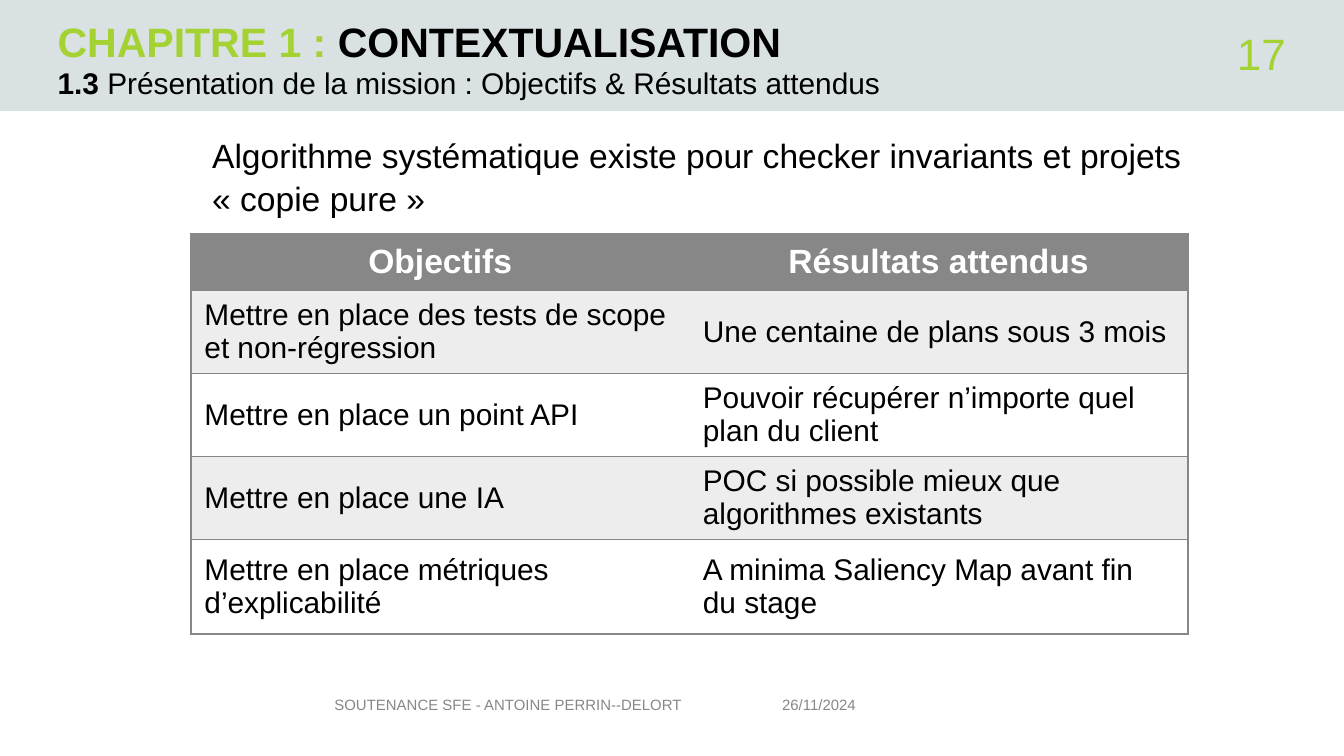
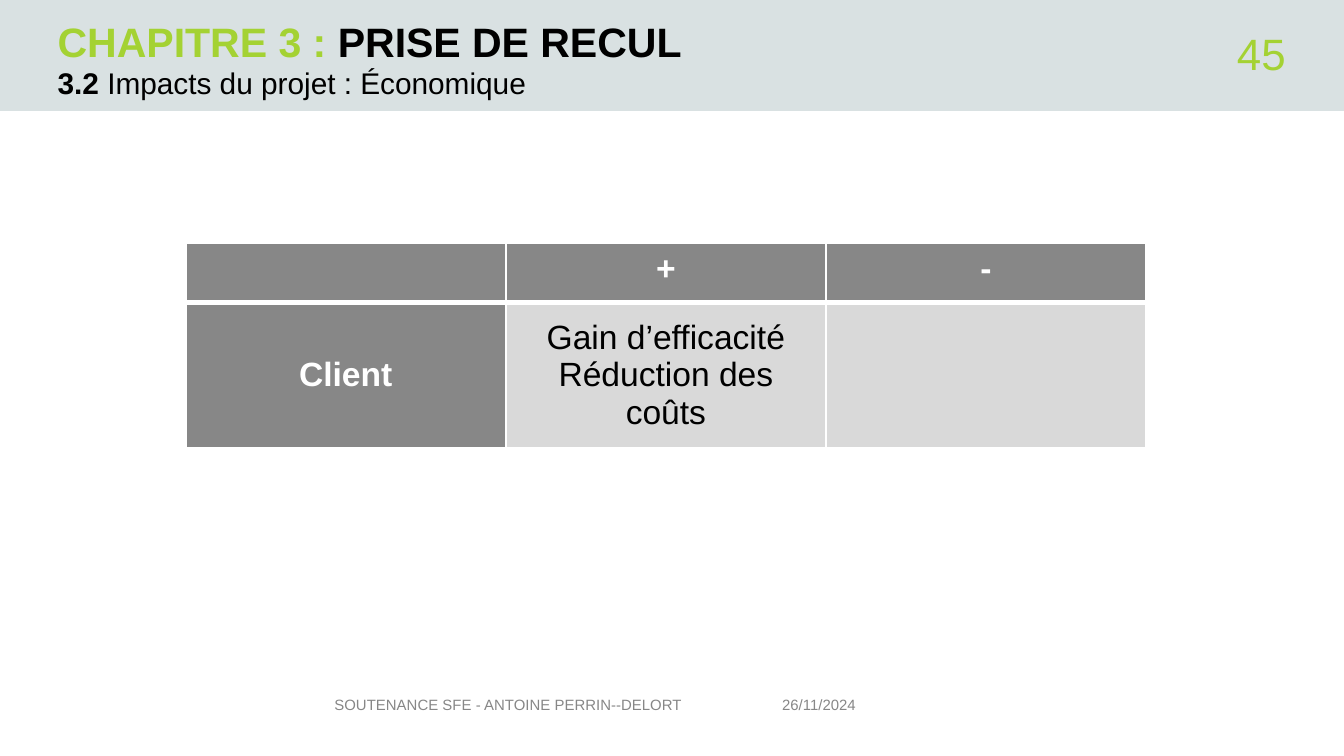
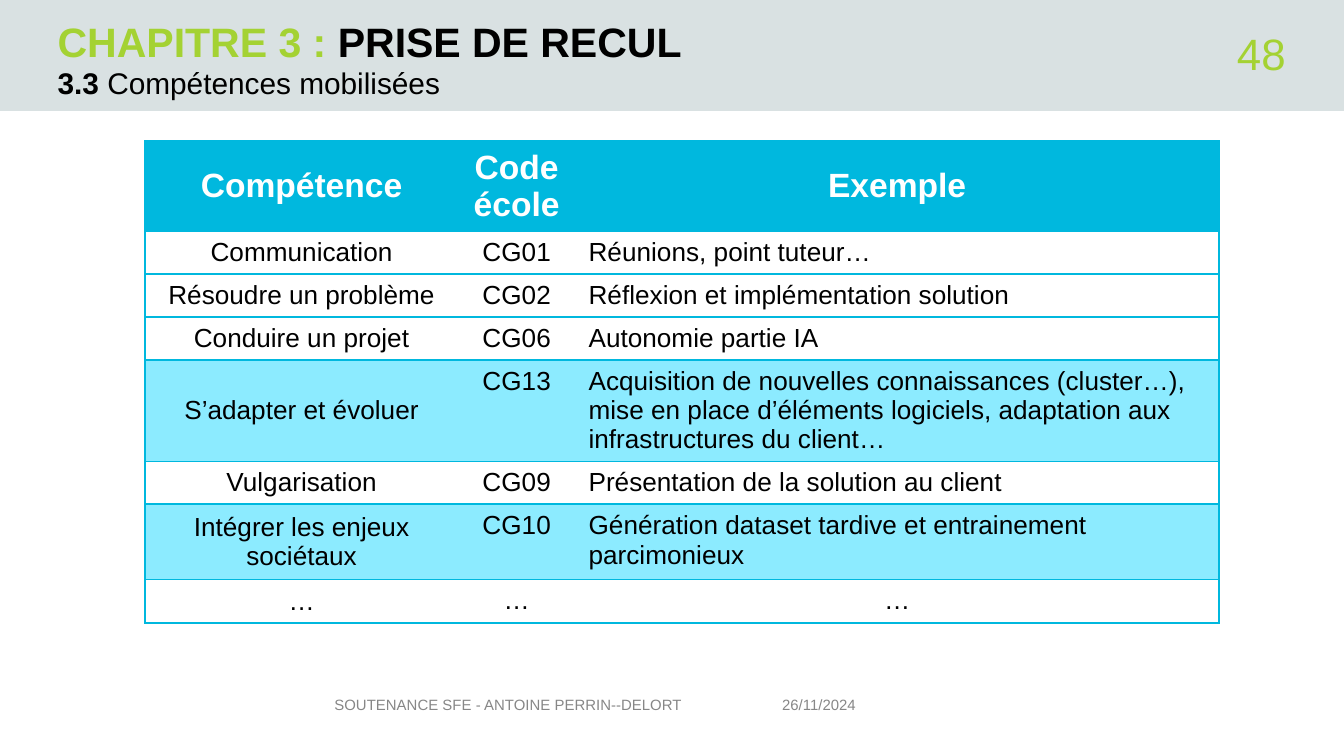
"""Build three thesis-defence slides: goals, economic impact and skills."""
import pptx
import pptx.dml.color
import pptx.enum.shapes
import pptx.enum.text
import pptx.oxml
import pptx.oxml.ns
import pptx.util

Cm = pptx.util.Cm
ALIGN = pptx.enum.text.PP_ALIGN
ANCHOR = pptx.enum.text.MSO_ANCHOR

FONT = "Arial"
GREEN, BLACK, WHITE, GREY = "A4D233", "000000", "FFFFFF", "878787"
BAND, PALE, SILVER = "D9E1E2", "EDEDED", "D9D9D9"
BLUE, LIGHT_BLUE = "00B8DE", "8CEBFF"
FOOTER = "SOUTENANCE SFE - ANTOINE PERRIN--DELORT"
DATE = "26/11/2024"

GOALS = [
    ("Objectifs", "Résultats attendus"),
    ("Mettre en place des tests de scope et non-régression",
     "Une centaine de plans sous 3 mois"),
    ("Mettre en place un point API",
     "Pouvoir récupérer n’importe quel plan du client"),
    ("Mettre en place une IA",
     "POC si possible mieux que algorithmes existants"),
    ("Mettre en place métriques d’explicabilité",
     "A minima Saliency Map avant fin du stage"),
]
IMPACTS = [
    ("", "+", "-"),
    ("Client", "Gain d’efficacité\nRéduction des coûts", ""),
]
SKILLS = [
    ("Compétence", "Code\nécole", "Exemple"),
    ("Communication", "CG01", "Réunions, point tuteur…"),
    ("Résoudre un problème", "CG02", "Réflexion et implémentation solution"),
    ("Conduire un projet", "CG06", "Autonomie partie IA"),
    ("S’adapter et évoluer", "CG13",
     "Acquisition de nouvelles connaissances (cluster…), mise en place "
     "d’éléments logiciels, adaptation aux infrastructures du client…"),
    ("Vulgarisation", "CG09", "Présentation de la solution au client"),
    ("Intégrer les enjeux sociétaux", "CG10",
     "Génération dataset tardive et entrainement parcimonieux"),
    ("…", "…", "…"),
]


def rgb(color):
    """Turn a hex string into a colour."""
    return pptx.dml.color.RGBColor.from_string(color)


def write(paragraph, spans, size, align=ALIGN.LEFT):
    """Fill a paragraph with (text, colour, bold) spans."""
    paragraph.alignment = align
    for text, color, bold in spans:
        span = paragraph.add_run()
        span.text = text
        span.font.name = FONT
        span.font.size = pptx.util.Pt(size)
        span.font.bold = bold
        span.font.color.rgb = rgb(color)


def set_frame(frame, anchor):
    """Give a text frame no margins, wrapping and an anchor."""
    frame.margin_left = frame.margin_right = 0
    frame.margin_top = frame.margin_bottom = 0
    frame.word_wrap = True
    frame.auto_size = pptx.enum.text.MSO_AUTO_SIZE.NONE
    frame.vertical_anchor = anchor


def add_text(page, place, spans, size, anchor=ANCHOR.TOP, align=ALIGN.LEFT):
    """Add a one-paragraph text box and return its paragraph."""
    box = page.shapes.add_textbox(*map(Cm, place))
    set_frame(box.text_frame, anchor)
    paragraph = box.text_frame.paragraphs[0]
    write(paragraph, spans, size, align)
    return paragraph


def add_page(deck, chapter, heading, section, subject, number):
    """Add a slide with its band, titles, footer and number."""
    page = deck.slides.add_slide(deck.slide_layouts[5])
    title = page.shapes.title
    band = page.shapes.add_shape(
        pptx.enum.shapes.MSO_SHAPE.RECTANGLE, 0, 0, deck.slide_width, Cm(2.1))
    band.shadow.inherit = False
    band.fill.solid()
    band.fill.fore_color.rgb = rgb(BAND)
    band.line.fill.background()
    title.element.addprevious(band.element)

    title.left, title.top, title.width, title.height = map(
        Cm, (1.09, 0, 20.09, 1.24))
    set_frame(title.text_frame, ANCHOR.BOTTOM)
    write(title.text_frame.paragraphs[0],
          [(f"CHAPITRE {chapter} : ", GREEN, True), (heading, BLACK, True)], 22)
    add_text(page, (1.09, 1.22, 20.09, 0.76),
             [(section, BLACK, True), (f" {subject}", BLACK, False)], 16)
    for left, width, text in ((14.78, 5.51, DATE), (6.32, 7.37, FOOTER)):
        add_text(page, (left, 12.67, width, 0.81), [(text, GREY, False)], 8,
                 ANCHOR.BOTTOM)
    add_text(page, (21.18, 0.58, 3.12, 0.84), [(str(number), GREEN, False)],
             23.5, ANCHOR.MIDDLE, ALIGN.RIGHT)
    return page


def add_table(page, left, top, widths, heights):
    """Add a table without style options."""
    table = page.shapes.add_table(
        len(heights), len(widths), Cm(left), Cm(top),
        Cm(sum(widths)), Cm(sum(heights))).table
    table.first_row = table.horz_banding = False
    for column, width in zip(table.columns, widths):
        column.width = Cm(width)
    for row, height in zip(table.rows, heights):
        row.height = Cm(height)
    return table


def fill_cell(cell, text, fill, color, size, bold, align, anchor):
    """Write a cell, one paragraph a line, on a plain fill."""
    cell.fill.solid()
    cell.fill.fore_color.rgb = rgb(fill)
    cell.vertical_anchor = anchor
    cell.text = text
    for paragraph in cell.text_frame.paragraphs:
        paragraph.alignment = align
        paragraph.font.size = pptx.util.Pt(size)
        for span in paragraph.runs:
            span.font.name = FONT
            span.font.size = pptx.util.Pt(size)
            span.font.bold = bold
            span.font.color.rgb = rgb(color)


def set_borders(cell, color, widths):
    """Draw left, right, top and bottom borders; zero means none."""
    properties = cell._tc.get_or_add_tcPr()
    namespace = pptx.oxml.ns.nsdecls("a")
    for index, (side, width) in enumerate(zip("LRTB", widths)):
        paint = (f'<a:solidFill><a:srgbClr val="{color}"/></a:solidFill>'
                 if width else "<a:noFill/>")
        properties.insert(index, pptx.oxml.parse_xml(
            f'<a:ln{side} {namespace} w="{pptx.util.Pt(width)}">{paint}</a:ln{side}>'))


def rule_rows(table, color):
    """Frame a table and separate its rows, not its columns."""
    last = len(table.columns) - 1
    for row in table.rows:
        for index, cell in enumerate(row.cells):
            set_borders(cell, color, (index == 0, index == last, 1, 1))


def add_goals(page):
    """Add the table of goals and expected results."""
    table = add_table(page, 3.61, 4.42, [9.42] * 2, [1.07] + [1.57] * 3 + [1.78])
    for index, texts in enumerate(GOALS):
        for cell, text in zip(table.rows[index].cells, texts):
            if index == 0:
                fill_cell(cell, text, GREY, WHITE, 18, True, ALIGN.CENTER,
                          ANCHOR.MIDDLE)
            else:
                fill_cell(cell, text, PALE if index % 2 else WHITE, BLACK, 16,
                          False, ALIGN.LEFT, ANCHOR.MIDDLE)
    rule_rows(table, GREY)


def add_impacts(page):
    """Add the table of gains and drawbacks."""
    table = add_table(page, 3.51, 4.6, [6.05] * 3, [1.12, 2.74])
    for index, texts in enumerate(IMPACTS):
        for column, text in enumerate(texts):
            cell = table.cell(index, column)
            header = index == 0 or column == 0
            fill_cell(cell, text, GREY if header else SILVER,
                      WHITE if header else BLACK, 18, header, ALIGN.CENTER,
                      ANCHOR.MIDDLE if index else ANCHOR.TOP)
            set_borders(cell, WHITE, (1, 1, 3, 1) if index else (1, 1, 1, 3))


def add_skills(page):
    """Add the table of skills, with two rows highlighted."""
    table = add_table(page, 2.74, 2.67, [5.92, 2.21, 12.17],
                      [1.7] + [0.81] * 3 + [1.91, 0.81, 1.42, 0.83])
    for index, texts in enumerate(SKILLS):
        fill = LIGHT_BLUE if texts[1] in ("CG13", "CG10") else WHITE
        for column, text in enumerate(texts):
            cell = table.cell(index, column)
            if index == 0:
                fill_cell(cell, text, BLUE, WHITE, 18, True, ALIGN.CENTER,
                          ANCHOR.MIDDLE)
            else:
                centred = column < 2 or text == "…"
                fill_cell(cell, text, fill, BLACK, 14, False,
                          ALIGN.CENTER if centred else ALIGN.LEFT,
                          ANCHOR.TOP if column else ANCHOR.MIDDLE)
    rule_rows(table, BLUE)


def main():
    """Build and save the deck."""
    deck = pptx.Presentation()
    deck.slide_width, deck.slide_height = Cm(25.4), Cm(14.29)

    page = add_page(deck, 1, "CONTEXTUALISATION", "1.3",
                    "Présentation de la mission : Objectifs & Résultats attendus", 17)
    add_goals(page)
    intro = add_text(page, (4.01, 2.49, 18.44, 8.43),
                     [("Algorithme systématique existe pour checker invariants "
                       "et projets « copie pure »", BLACK, False)], 18)
    intro.line_spacing = 1.07

    page = add_page(deck, 3, "PRISE DE RECUL", "3.2",
                    "Impacts du projet : Économique", 45)
    add_impacts(page)

    page = add_page(deck, 3, "PRISE DE RECUL", "3.3", "Compétences mobilisées", 48)
    add_skills(page)

    deck.save("out.pptx")


if __name__ == "__main__":
    main()
